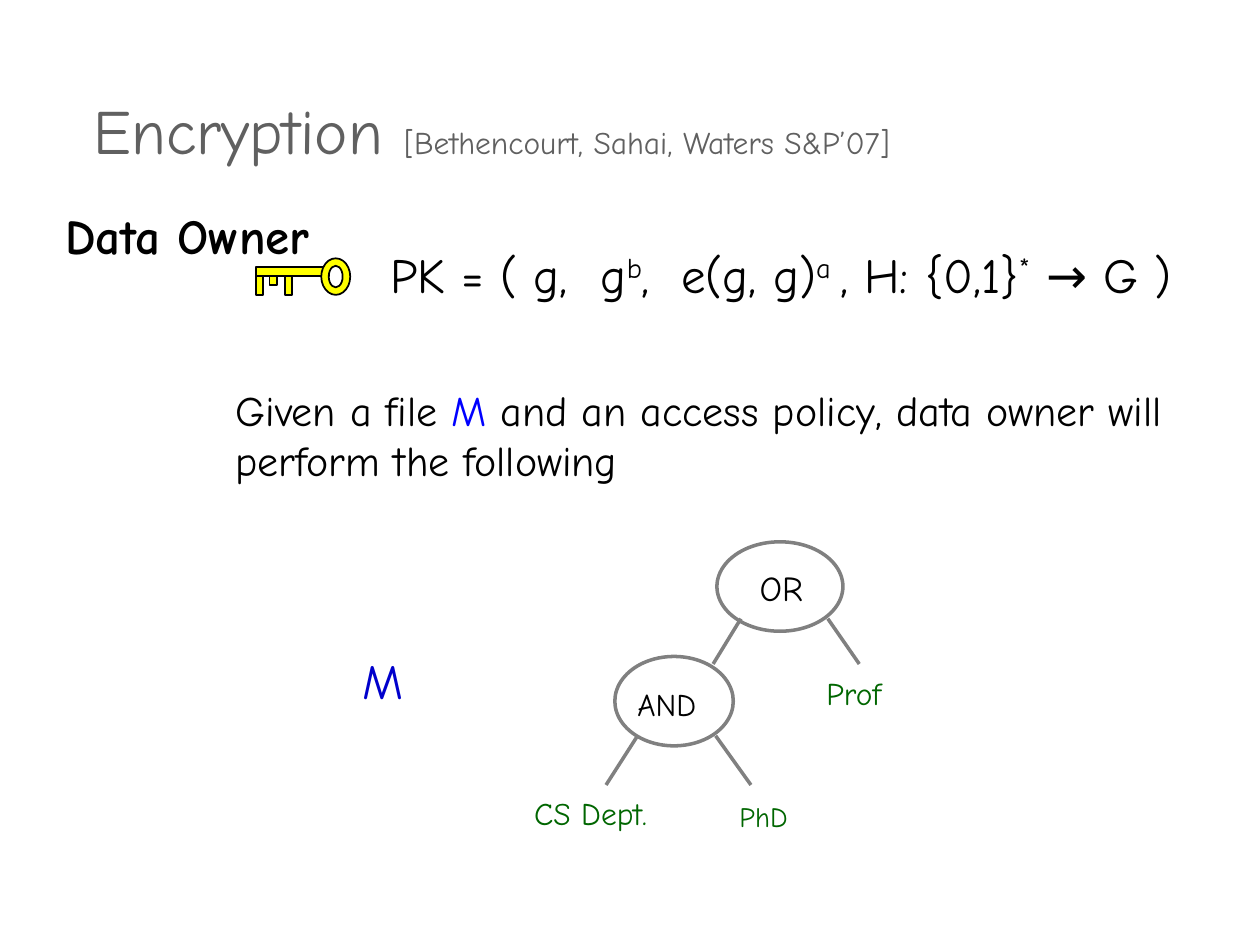
from lxml import etree
from pptx import Presentation
from pptx.dml.color import RGBColor
from pptx.enum import shapes, text
from pptx.oxml import ns
from pptx.util import Inches, Pt

FONT = "Comic Neue"
BLACK = RGBColor(0x00, 0x00, 0x00)
TITLE_GRAY = RGBColor(0x60, 0x60, 0x60)
LINE_GRAY = RGBColor(0x80, 0x80, 0x80)
DARK_BLUE = RGBColor(0x00, 0x00, 0xCC)
BLUE = RGBColor(0x00, 0x00, 0xFF)
GREEN = RGBColor(0x00, 0x66, 0x00)
YELLOW = RGBColor(0xFF, 0xFF, 0x00)


def write_runs(frame, runs, size, color=BLACK, bold=False, align=text.PP_ALIGN.LEFT, tabs=()):
    """Fill a text frame with (text, overrides) runs in one paragraph."""
    frame.word_wrap = True
    frame.vertical_anchor = text.MSO_ANCHOR.TOP
    paragraph = frame.paragraphs[0]
    paragraph.alignment = align
    if tabs:
        properties = paragraph._p.get_or_add_pPr()
        tab_list = etree.SubElement(properties, ns.qn("a:tabLst"))
        for position in tabs:
            etree.SubElement(tab_list, ns.qn("a:tab"), pos=str(Inches(position)), algn="l")
    for content, overrides in runs:
        run = paragraph.add_run()
        run.text = content
        run.font.name = FONT
        run.font.size = Pt(overrides.get("size", size))
        run.font.bold = bold
        run.font.color.rgb = overrides.get("color", color)
        if overrides.get("superscript"):
            run.font._element.set("baseline", "30000")


def add_text(parent, box, content, **text_format):
    """Add a text box holding a string or a list of runs."""
    frame = parent.add_textbox(*map(Inches, box)).text_frame
    runs = [(content, {})] if isinstance(content, str) else content
    write_runs(frame, runs, **text_format)


def add_outlined(parent, kind, box, line_color, line_width, fill=None):
    """Add a preset shape with an outline and an optional fill."""
    shape = parent.add_shape(kind, *map(Inches, box))
    shape.shadow.inherit = False
    if fill is None:
        shape.fill.background()
    else:
        shape.fill.solid()
        shape.fill.fore_color.rgb = fill
    shape.line.color.rgb = line_color
    shape.line.width = Pt(line_width)
    return shape


def add_branch(parent, start, end):
    """Add a gray tree branch between two points."""
    branch = parent.add_connector(shapes.MSO_CONNECTOR.STRAIGHT, *map(Inches, start + end))
    branch.line.color.rgb = LINE_GRAY
    branch.line.width = Pt(2)
    etree.SubElement(branch._element.spPr, ns.qn("a:effectLst"))


def add_title(slide, box):
    """Place the title with its smaller citation."""
    title = slide.shapes.title
    title.left, title.top, title.width, title.height = map(Inches, box)
    frame = title.text_frame
    frame.auto_size = text.MSO_AUTO_SIZE.NONE
    frame.margin_left = Inches(0.24)
    citation = ("[Bethencourt, Sahai, Waters S&P’07]", {"size": 18})
    write_runs(frame, [("Encryption ", {}), citation], size=36, color=TITLE_GRAY)


def add_policy_tree(slide, left, top):
    """Draw the access policy tree from its top-left corner."""
    parent = slide.shapes.add_group_shape().shapes
    ovals = [(1.55, 0, 1, 0.71), (0.74, 0.91, 0.94, 0.71)]
    labels = [
        ((1.79, 0.15, 0.75, 0.44), "OR", 20, BLACK),
        ((0.82, 1.09, 0.86, 0.4), "AND", 18, BLACK),
        ((0, 1.95, 1.43, 0.4), "CS Dept.", 18, GREEN),
        ((1.63, 2, 0.69, 0.37), "PhD", 16, GREEN),
        ((2.32, 1, 0.94, 0.4), "Prof", 18, GREEN),
    ]
    branches = [
        ((1.74, 0.61), (1.52, 0.97)),
        ((2.43, 0.61), (2.68, 0.97)),
        ((0.92, 1.54), (0.67, 1.93)),
        ((1.54, 1.54), (1.82, 1.93)),
    ]
    for x, y, width, height in ovals:
        add_outlined(parent, shapes.MSO_SHAPE.OVAL, (left + x, top + y, width, height), LINE_GRAY, 2)
    for (x, y, width, height), label, size, color in labels:
        add_text(parent, (left + x, top + y, width, height), label, size=size, color=color)
    for start, end in branches:
        add_branch(parent, *((left + x, top + y) for x, y in (start, end)))


def add_key(slide, left, top):
    """Draw the yellow key from its top-left corner."""
    parent = slide.shapes.add_group_shape().shapes
    rectangle, donut = shapes.MSO_SHAPE.RECTANGLE, shapes.MSO_SHAPE.DONUT
    parts = [
        (rectangle, 0, 0.07, 0.58, 0.07),
        (donut, 0.52, 0, 0.23, 0.29),
        (rectangle, 0.11, 0.14, 0.06, 0.07),
        (rectangle, 0, 0.14, 0.06, 0.15),
        (rectangle, 0.23, 0.14, 0.06, 0.15),
    ]
    for kind, x, y, width, height in parts:
        part = add_outlined(parent, kind, (left + x, top + y, width, height), BLACK, 1, YELLOW)
        if kind == donut:
            part.adjustments[0] = 0.26


def add_public_key(slide, box):
    """Write the public key formula."""
    raised = {"superscript": True}
    runs = [
        ("PK = ( g,\tg", {}), ("b", raised), (",\te(g, g)", {}), ("a ", raised),
        (", H: {0,1}", {}), ("*", raised), (" → G )", {}),
    ]
    add_text(slide.shapes, box, runs, size=28, tabs=(1.67, 2.31))


def add_statement(slide, box):
    """Write the sentence that introduces the encryption step."""
    runs = [
        ("Given a file ", {}), ("M", {"color": BLUE}),
        (" and an access policy, data owner will perform the following", {}),
    ]
    add_text(slide.shapes, box, runs, size=24)


def main():
    """Build and save the slide."""
    presentation = Presentation()
    presentation.slide_width, presentation.slide_height = Inches(10), Inches(7.5)
    slide = presentation.slides.add_slide(presentation.slide_layouts[5])
    add_title(slide, (0.5, 0.68, 8.5, 1.25))
    add_text(slide.shapes, (2.75, 5.11, 0.58, 0.57), "M", size=28, color=DARK_BLUE,
             align=text.PP_ALIGN.CENTER)
    add_statement(slide, (1.77, 3, 8, 0.91))
    add_policy_tree(slide, 4.14, 4.3)
    add_text(slide.shapes, (0.42, 1.58, 2.17, 1.04), "Data Owner", size=28, bold=True)
    add_key(slide, 2.03, 2.05)
    add_public_key(slide, (3, 1.89, 6.92, 0.57))
    presentation.save("out.pptx")


if __name__ == "__main__":
    main()
